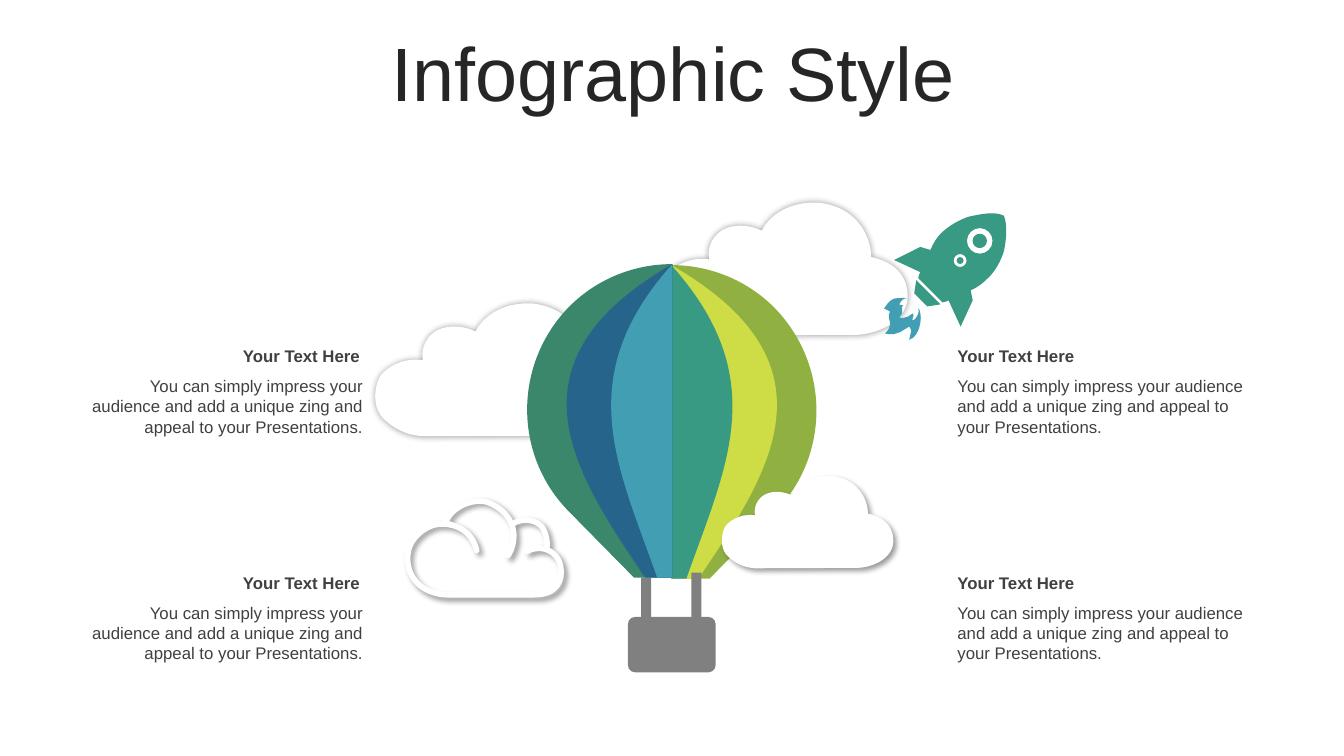
from lxml import etree
from pptx import Presentation
from pptx.dml.color import RGBColor
from pptx.enum.shapes import MSO_SHAPE
from pptx.enum.text import MSO_ANCHOR, MSO_AUTO_SIZE, PP_ALIGN
from pptx.oxml.ns import qn
from pptx.util import Pt

RECT, ROUND = MSO_SHAPE.RECTANGLE, MSO_SHAPE.ROUNDED_RECTANGLE
LEFT, RIGHT, CENTER = PP_ALIGN.LEFT, PP_ALIGN.RIGHT, PP_ALIGN.CENTER
UNIT = 0.72  # points per unit of the outline grid
STEPS = 12   # samples per curve when its extent is measured

TITLE = "Infographic Style"
HEAD = "Your Text Here"
BODY = ("You can simply impress your audience and add a unique zing "
        "and appeal to your Presentations.")
# left, heading width, body width, alignment
COLUMNS = [(57.6, 206.6, 208.8, RIGHT), (676.8, 218.2, 219.6, LEFT)]
ROWS = [243.4, 405.4]

# Outlines: a pair is a corner, six numbers are a curve
CLOUD = [(258, 0), (261, 0, 265, 0, 269, 1), (333, 11, 351, 63, 351, 91),
         (411, 104, 414, 146, 411, 166), (402, 208, 347, 221, 327, 221),
         (80, 222), (50, 220, 28, 208, 10, 188), (-5, 167, 0, 138, 8, 123),
         (14, 112, 43, 89, 80, 95), (76, 74, 87, 54, 104, 45),
         (126, 34, 152, 39, 168, 47), (176, 30, 204, -1, 258, 0)]
LINED = [(447, 590), (530, 590), (553, 590, 559, 575, 556, 561),
         (552, 543, 530, 540, 523, 547), (527, 544, 536, 543, 542, 545),
         (544, 541, 542, 526, 536, 521), (530, 516, 519, 513, 508, 520),
         (510, 528, 510, 541, 504, 551), (514, 536, 513, 509, 483, 498),
         (468, 494, 446, 504, 442, 519), (453, 522, 467, 525, 473, 546),
         (470, 533, 460, 521, 441, 520), (426, 518, 410, 531, 406, 543),
         (399, 566, 414, 591, 447, 590)]
# right half of the balloon, from its top; then right and left colour
PANELS = [
    ([(0, 0), (0, 311), (38, 311), (102, 246), (158, 190, 158, 99, 102, 42),
      (74, 14, 37, 0, 0, 0)], "90B141", "3A876B"),
    ([(0, 0), (0, 311), (27, 311), (96, 208, 172, 99, 0, 0)],
     "CEDD46", "26648C"),
    ([(0, 0), (0, 311), (15, 311), (54, 200, 101, 113, 0, 0)],
     "399A84", "429EB3"),
]
POSTS = [(457.92, 412.56), (493.92, 408.96)]
NOZZLE = [(909, 278), (933, 302), (920, 304), (907, 291)]
HULL = [(996, 214), (1000, 224, 998, 240, 996, 249),
        (993, 259, 987, 270, 979, 277), (975, 281, 970, 285, 963, 288),
        (965, 298), (953, 324), (941, 298), (939, 299, 937, 300, 935, 300),
        (911, 276), (911, 274, 912, 272, 913, 270), (887, 258), (913, 245),
        (923, 248), (926, 241, 930, 235, 933, 232),
        (941, 224, 952, 218, 961, 215), (971, 213, 986, 209, 996, 214)]
DISCS = [(952.5, 258.5, 3.5), (952.5, 258.5, 6.4),
         (972, 239, 7.1), (972, 239, 12.7)]
FLAME = [(911, 306), (912, 307), (914, 312, 914, 318, 912, 325),
         (911, 328, 908, 336, 902, 337), (904, 328, 905, 328, 902, 324),
         (899, 326, 895, 328, 894, 329), (886, 332, 887, 332, 878, 331),
         (885, 324, 883, 320, 882, 316), (881, 314, 882, 311, 883, 309),
         (881, 308, 879, 307, 877, 306), (879, 304, 881, 298, 888, 296),
         (891, 296, 896, 295, 900, 296), (898, 296),
         (894, 297, 893, 301, 892, 302), (893, 302, 894, 303, 896, 303),
         (895, 304, 894, 305, 895, 307), (895, 309, 896, 311, 892, 315),
         (897, 316, 897, 315, 901, 314), (902, 313, 904, 312, 906, 311),
         (907, 313, 906, 313, 905, 318), (908, 318, 910, 313, 911, 311),
         (911, 310, 912, 308, 911, 306)]

deck = Presentation()
deck.slide_width, deck.slide_height = Pt(960), Pt(540)
slide = deck.slides.add_slide(deck.slide_layouts[5])
shapes = slide.shapes


def color(code):
    return RGBColor.from_string(code)


def pairs(part):
    return list(zip(part[::2], part[1::2]))


def flat(outline):
    """List points along an outline, to measure its extent."""
    pts = [outline[0]]
    for part in outline[1:]:
        if len(part) == 2:
            pts.append(part)
            continue
        ends = [pts[-1], *pairs(part)]
        for step in range(1, STEPS + 1):
            t = step / STEPS
            mix = ((1 - t) ** 3, 3 * t * (1 - t) ** 2,
                   3 * t * t * (1 - t), t ** 3)
            pts.append(tuple(sum(m * e[axis] for m, e in zip(mix, ends))
                             for axis in (0, 1)))
    return pts


def disc(x, y, r):
    k = 0.55 * r
    return [(x + r, y), (x + r, y + k, x + k, y + r, x, y + r),
            (x - k, y + r, x - r, y + k, x - r, y),
            (x - r, y - k, x - k, y - r, x, y - r),
            (x + k, y - r, x + r, y - k, x + r, y)]


def paint(shape, fill):
    shape.shadow.inherit = False
    shape.line.fill.background()
    if fill:
        shape.fill.solid()
        shape.fill.fore_color.rgb = color(fill)
    else:
        shape.fill.background()
    return shape


def draw(outlines, fill, x=0, y=0, sx=1, sy=1):
    """Draw outlines as one shape, scaled and then moved to x, y."""
    def spot(px, py):
        return Pt((x + sx * px) * UNIT), Pt((y + sy * py) * UNIT)

    pts = [spot(*p) for outline in outlines for p in flat(outline)]
    xs, ys = zip(*pts)
    left, top = min(xs), min(ys)
    pen = shapes.build_freeform(left, top)
    pen.add_line_segments([(max(xs), max(ys))])
    shape = pen.convert_to_shape()
    track = shape._element.spPr.find(".//" + qn("a:path"))
    for step in list(track):
        track.remove(step)
    for outline in outlines:
        for i, part in enumerate(outline):
            kind = "cubicBezTo" if len(part) == 6 else "lnTo" if i else "moveTo"
            step = etree.SubElement(track, qn("a:" + kind))
            for pair in pairs(part):
                px, py = spot(*pair)
                etree.SubElement(step, qn("a:pt"),
                                 x=str(px - left), y=str(py - top))
        etree.SubElement(track, qn("a:close"))
    return paint(shape, fill)


def shade(shape, blur, dist, angle):
    """Add a soft black shadow."""
    effects = shape._element.spPr.find(qn("a:effectLst"))
    cast = etree.SubElement(
        effects, qn("a:outerShdw"), blurRad=str(Pt(blur)), dist=str(Pt(dist)),
        dir=str(angle * 60000), algn="ctr", rotWithShape="0")
    tint = etree.SubElement(cast, qn("a:srgbClr"), val="000000")
    etree.SubElement(tint, qn("a:alpha"), val="40000")


def cloud(x, y, width):
    size = width / 411
    return draw([CLOUD], "FFFFFF", x, y, size, size)


def write(box, text, size, ink, align, bold=False):
    frame = box.text_frame
    frame.word_wrap = True
    frame.text = text
    para = frame.paragraphs[0]
    para.alignment = align
    font = para.runs[0].font
    font.name, font.size, font.bold = "Arial", Pt(size), bold
    font.color.rgb = color(ink)
    return frame


def place(*box):
    return [Pt(v) for v in box]


title = shapes.title
title.left, title.top, title.width, title.height = place(25.2, 26.6, 911.5, 56.9)
frame = write(title, TITLE, 54, "262626", CENTER)
frame.vertical_anchor = MSO_ANCHOR.MIDDLE
frame.auto_size = MSO_AUTO_SIZE.NONE
frame.paragraphs[0].line_spacing = 0.9

haze = cloud(677, 183, 411)
tint = haze._element.spPr.find(qn("a:solidFill"))[0]
etree.SubElement(tint, qn("a:alpha"), val="70000")
for x, y in [(372, 301), (656, 201)]:
    shade(cloud(x, y, 244), 5, 0, 0)

lined = draw([LINED], None)
lined.line.color.rgb = color("FFFFFF")
lined.line.width = Pt(4)
etree.SubElement(lined._element.spPr.find(qn("a:ln")), qn("a:round"))
shade(lined, 4, 3, 45)

for panel, right, left in PANELS:
    draw([panel], right, 666, 263)
for x, y in POSTS:
    paint(shapes.add_shape(RECT, *place(x, y, 7.2, 39.6)), "808080")
for panel, right, left in PANELS:
    draw([panel], left, 667, 262, sx=-1)
basket = paint(shapes.add_shape(ROUND, *place(448.56, 440.64, 62.64, 39.6)), "808080")
basket.adjustments[0] = 0.13

shade(cloud(716, 472, 170), 4, 3, 45)
draw([NOZZLE, *(disc(*d) for d in DISCS), HULL], "399A84")
draw([FLAME], "429EB3")

for x, wide, broad, align in COLUMNS:
    for y in ROWS:
        for text, top, width, height, bold in [
                (BODY, y + 21.6, broad, 51.1, False),
                (HEAD, y, wide, 21.6, True)]:
            box = shapes.add_textbox(*place(x, top, width, height))
            frame = write(box, text, 12, "404040", align, bold)
            frame.auto_size = MSO_AUTO_SIZE.SHAPE_TO_FIT_TEXT

deck.save("out.pptx")
